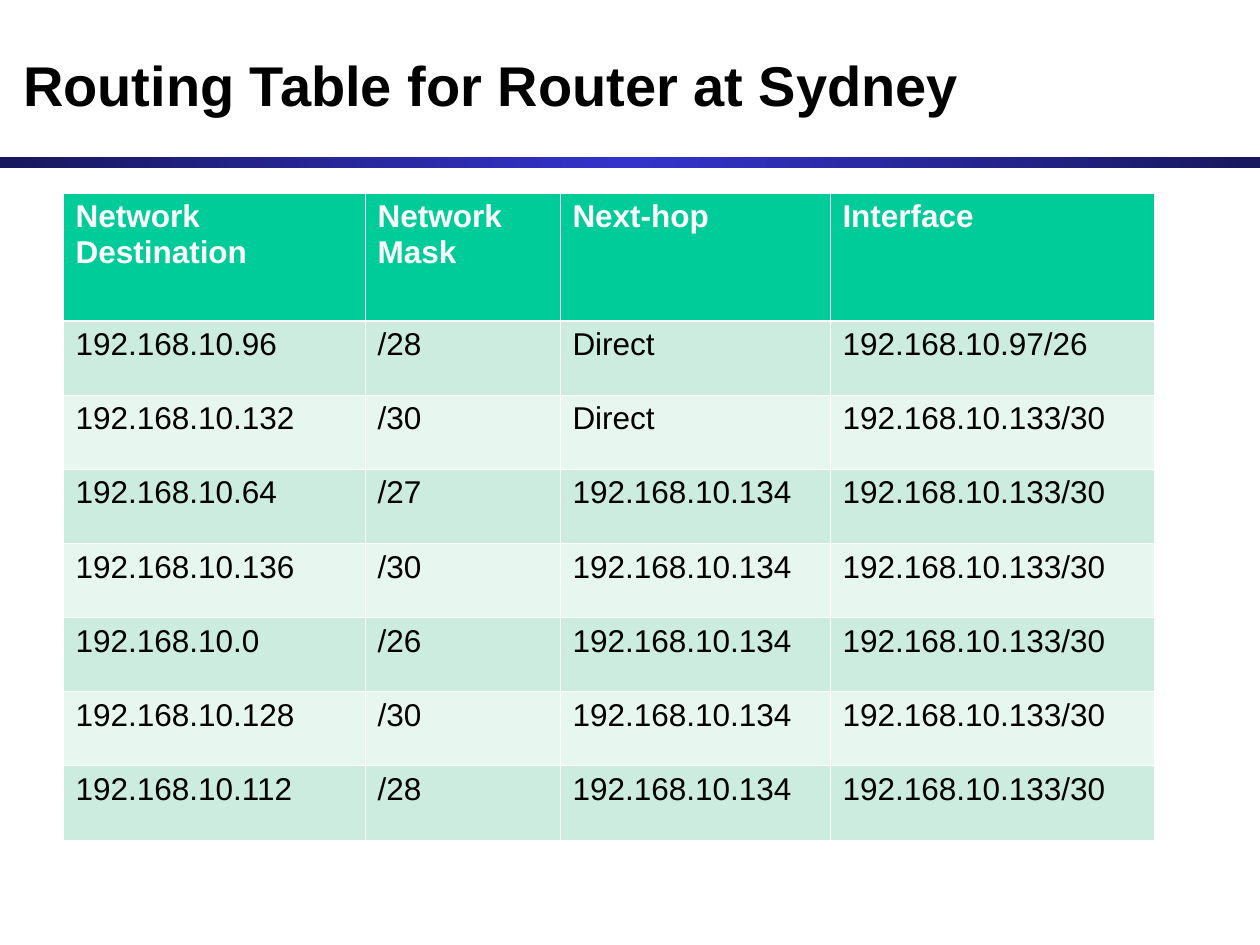
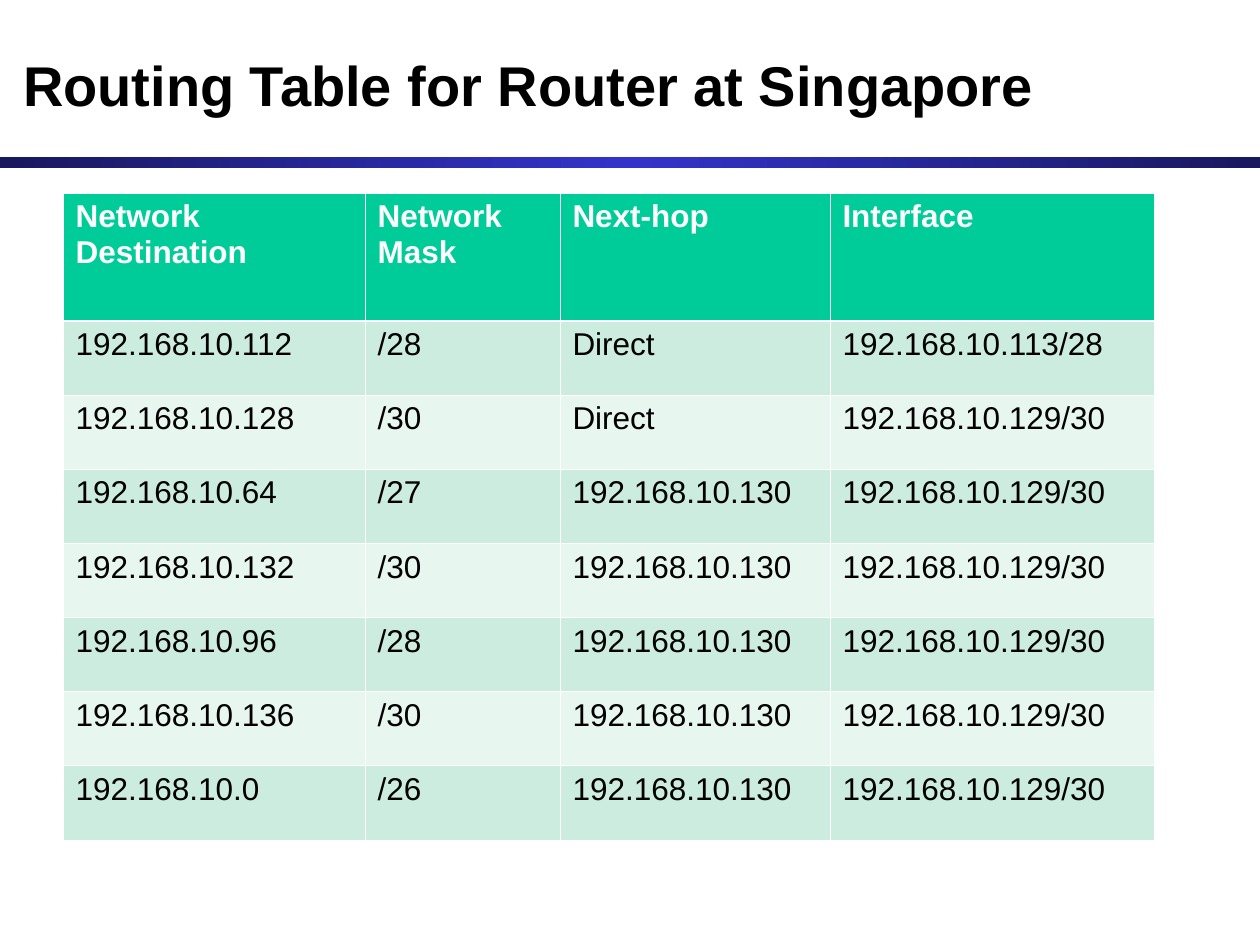
from copy import deepcopy
from dataclasses import dataclass

from lxml import etree
from pptx import Presentation
from pptx.dml.color import RGBColor
from pptx.enum.shapes import MSO_SHAPE
from pptx.enum.text import MSO_ANCHOR, PP_ALIGN
from pptx.oxml.ns import qn
from pptx.util import Pt

RECTANGLE = MSO_SHAPE.RECTANGLE
MIDDLE = MSO_ANCHOR.MIDDLE
LEFT = PP_ALIGN.LEFT

HEADINGS = ("Network Destination", "Network Mask", "Next-hop", "Interface")
ROUTERS = [
    ("Routing Table for Router at Sydney", [
        ("192.168.10.96", "/28", "Direct", "192.168.10.97/26"),
        ("192.168.10.132", "/30", "Direct", "192.168.10.133/30"),
        ("192.168.10.64", "/27", "192.168.10.134", "192.168.10.133/30"),
        ("192.168.10.136", "/30", "192.168.10.134", "192.168.10.133/30"),
        ("192.168.10.0", "/26", "192.168.10.134", "192.168.10.133/30"),
        ("192.168.10.128", "/30", "192.168.10.134", "192.168.10.133/30"),
        ("192.168.10.112", "/28", "192.168.10.134", "192.168.10.133/30"),
    ]),
    ("Routing Table for Router at Singapore", [
        ("192.168.10.112", "/28", "Direct", "192.168.10.113/28"),
        ("192.168.10.128", "/30", "Direct", "192.168.10.129/30"),
        ("192.168.10.64", "/27", "192.168.10.130", "192.168.10.129/30"),
        ("192.168.10.132", "/30", "192.168.10.130", "192.168.10.129/30"),
        ("192.168.10.96", "/28", "192.168.10.130", "192.168.10.129/30"),
        ("192.168.10.136", "/30", "192.168.10.130", "192.168.10.129/30"),
        ("192.168.10.0", "/26", "192.168.10.130", "192.168.10.129/30"),
    ]),
]


@dataclass(frozen=True)
class Theme:
    font: str = "Arial"
    title_size: float = 32
    cell_size: float = 18
    ink: str = "000000"
    paper: str = "FFFFFF"
    header: str = "00CC99"
    stripes: tuple = ("CBECDE", "E7F6EF")
    band: tuple = ("18185E", "3333CC", "18185E")
    rule: float = 0.45
    header_rule: float = 1.47


THEME = Theme()
SLIDE_WIDTH, SLIDE_HEIGHT = 720, 540
TITLE_BOX = (6, 12.2, 708, 72)
BAND_BOX = (0, 90, SLIDE_WIDTH, 6)
TABLE_LEFT, TABLE_TOP = 36, 110.3
COLUMN_WIDTHS = (172.6, 111.4, 154.3, 185.4)
HEADER_HEIGHT, ROUTE_HEIGHT = 73, 42.4


def points(values):
    return [Pt(value) for value in values]


def write(frame, text, *, size, color=THEME.ink, bold=False):
    paragraph = frame.paragraphs[0]
    paragraph.alignment = LEFT
    run = paragraph.add_run()
    run.text = text
    run.font.name = THEME.font
    run.font.size = Pt(size)
    run.font.bold = bold
    run.font.color.rgb = RGBColor.from_string(color)


def add_band(slide):
    band = slide.shapes.add_shape(RECTANGLE, *points(BAND_BOX))
    band.shadow.inherit = False
    band.line.fill.background()
    band.fill.gradient()
    band.fill.gradient_angle = 0
    stop_list = band.element.spPr.find(f".//{qn('a:gsLst')}")
    stop_list.insert(1, deepcopy(stop_list[0]))
    for index, (stop, color) in enumerate(zip(band.fill.gradient_stops, THEME.band)):
        stop.position = index / 2
        stop.color.rgb = RGBColor.from_string(color)
    slide.slide_layout.shapes.element.append(band.element)


def add_borders(cell, top, bottom):
    properties = cell._tc.get_or_add_tcPr()
    for side, width in zip("LRTB", (THEME.rule, THEME.rule, top, bottom)):
        border = etree.SubElement(properties, qn(f"a:ln{side}"), w=str(Pt(width)))
        fill = etree.SubElement(border, qn("a:solidFill"))
        etree.SubElement(fill, qn("a:srgbClr"), val=THEME.paper)


def add_routes(slide, routes):
    rows = [HEADINGS, *routes]
    heights = [HEADER_HEIGHT] + [ROUTE_HEIGHT] * len(routes)
    table = slide.shapes.add_table(
        len(rows), len(HEADINGS),
        *points((TABLE_LEFT, TABLE_TOP, sum(COLUMN_WIDTHS), sum(heights))),
    ).table
    for column, width in zip(table.columns, COLUMN_WIDTHS):
        column.width = Pt(width)
    for index, (values, height) in enumerate(zip(rows, heights)):
        table.rows[index].height = Pt(height)
        is_header = index == 0
        background = THEME.header if is_header else THEME.stripes[(index - 1) % 2]
        top = THEME.header_rule if index == 1 else THEME.rule
        bottom = THEME.header_rule if is_header else THEME.rule
        for cell, value in zip(table.rows[index].cells, values):
            add_borders(cell, top, bottom)
            cell.fill.solid()
            cell.fill.fore_color.rgb = RGBColor.from_string(background)
            write(cell.text_frame, value, size=THEME.cell_size, bold=is_header,
                  color=THEME.paper if is_header else THEME.ink)


def add_title(slide, text):
    title = slide.shapes.title
    title.left, title.top, title.width, title.height = points(TITLE_BOX)
    title.text_frame.vertical_anchor = MIDDLE
    write(title.text_frame, text, size=THEME.title_size, bold=True)


def main():
    deck = Presentation()
    deck.slide_width, deck.slide_height = points((SLIDE_WIDTH, SLIDE_HEIGHT))
    title_only = deck.slide_layouts[5]
    for heading, routes in ROUTERS:
        slide = deck.slides.add_slide(title_only)
        add_title(slide, heading)
        add_routes(slide, routes)
    add_band(deck.slides[0])
    deck.save("out.pptx")


if __name__ == "__main__":
    main()
